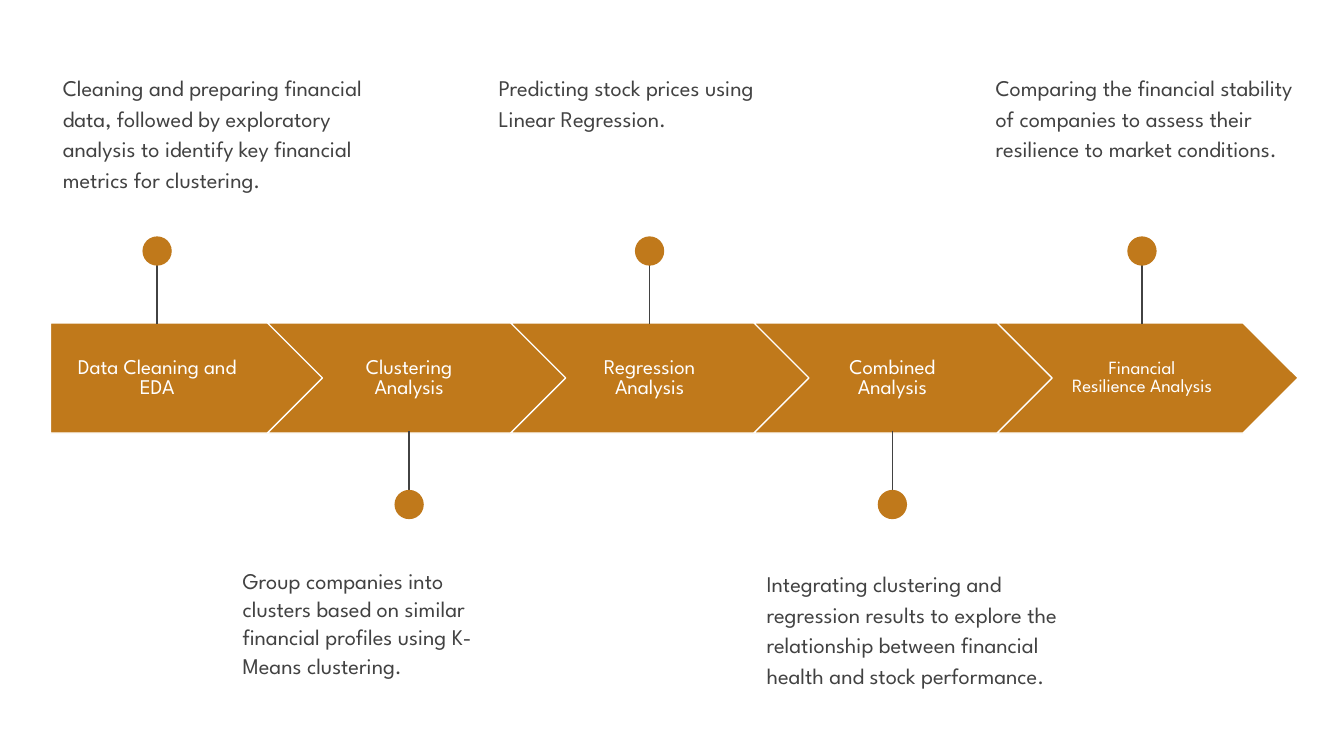
from pptx import Presentation
from pptx.dml.color import RGBColor
from pptx.enum.shapes import MSO_CONNECTOR, MSO_SHAPE
from pptx.enum.text import MSO_ANCHOR, PP_ALIGN
from pptx.oxml.ns import qn
from pptx.util import Pt
from lxml import etree

PENTAGON, CHEVRON, OVAL = MSO_SHAPE.PENTAGON, MSO_SHAPE.CHEVRON, MSO_SHAPE.OVAL
STRAIGHT = MSO_CONNECTOR.STRAIGHT
TOP, MIDDLE = MSO_ANCHOR.TOP, MSO_ANCHOR.MIDDLE
LEFT, CENTER = PP_ALIGN.LEFT, PP_ALIGN.CENTER

FONT = "League Spartan"
OCHRE, GRAY, WHITE = "C0791B", "424242", "FFFFFF"

STEPS = [
    dict(label="Data Cleaning and EDA", label_size=11.2, label_width=114.5, center=84.2,
         detail="Cleaning and preparing financial data, followed by exploratory analysis "
                "to identify key financial metrics for clustering.",
         detail_box=(26.6, 192.2, 96.5), spacing=1.15),
    dict(label="Clustering\nAnalysis", label_size=11.2, label_width=103.7, center=219.2,
         detail="Group companies into clusters based on similar financial profiles "
                "using K-Means clustering.",
         detail_box=(122.9, 161.3, 92.2), spacing=1.05),
    dict(label="Regression\nAnalysis", label_size=11.2, label_width=103.7, center=348,
         detail="Predicting stock prices using Linear Regression.",
         detail_box=(260, 176.4, 71.3), spacing=1.15),
    dict(label="Combined\nAnalysis", label_size=11.2, label_width=103.7, center=478.1,
         detail="Integrating clustering and regression results to explore the "
                "relationship between financial health and stock performance.",
         detail_box=(403.6, 176.4, 71.3), spacing=1.15),
    dict(label="Financial\nResilience Analysis", label_size=10, label_width=103.7, center=611.8,
         detail="Comparing the financial stability of companies to assess their "
                "resilience to market conditions.",
         detail_box=(526.3, 176.4, 71.3), spacing=1.15),
]

BAND_TOP, BAND_HEIGHT = 173, 59
FIRST_LEFT, FIRST_WIDTH = 27, 147.6
CHEVRON_LEFT, CHEVRON_WIDTH, CHEVRON_PITCH = 143.3, 161.3, 130.3
LABEL_TOP, LABEL_HEIGHT = 184.3, 36.7
DOT = 15.7
ABOVE = dict(dot_center=134.5, stem_end=173.5, detail_top=30.2)
BELOW = dict(dot_center=270.3, stem_end=231.1, detail_top=295.9)


def color(value):
    return RGBColor.from_string(value)


def add_shape(slide, kind, left, top, width, height, outline=None):
    shape = slide.shapes.add_shape(kind, Pt(left), Pt(top), Pt(width), Pt(height))
    shape.shadow.inherit = False
    shape.fill.solid()
    shape.fill.fore_color.rgb = color(OCHRE)
    if outline:
        shape.line.color.rgb = color(outline)
        shape.line.width = Pt(0.75)
    else:
        shape.line.fill.background()


def add_stem(slide, x, start, end):
    stem = slide.shapes.add_connector(STRAIGHT, Pt(x), Pt(start), Pt(x), Pt(end))
    stem.line.color.rgb = color(GRAY)
    stem.line.width = Pt(0.75)
    etree.SubElement(stem._element.spPr, qn("a:effectLst"))


def add_text(slide, text, left, top, width, height, size, ink, align, anchor, spacing, after):
    frame = slide.shapes.add_textbox(Pt(left), Pt(top), Pt(width), Pt(height)).text_frame
    frame.word_wrap = True
    frame.vertical_anchor = anchor
    frame.margin_left = frame.margin_right = frame.margin_top = frame.margin_bottom = Pt(7.2)
    frame.text = text
    for paragraph in frame.paragraphs:
        paragraph.alignment = align
        paragraph.line_spacing = spacing
        paragraph.space_after = Pt(after)
        for run in paragraph.runs:
            run.font.name = FONT
            run.font.size = Pt(size)
            run.font.color.rgb = color(ink)


def add_step(slide, index, step):
    side = BELOW if index % 2 else ABOVE
    center, label_width = step["center"], step["label_width"]
    if index == 0:
        kind, left, width = PENTAGON, FIRST_LEFT, FIRST_WIDTH
    else:
        kind, width = CHEVRON, CHEVRON_WIDTH
        left = CHEVRON_LEFT + (index - 1) * CHEVRON_PITCH
    add_shape(slide, kind, left, BAND_TOP, width, BAND_HEIGHT, WHITE)
    add_text(slide, step["label"], center - label_width / 2, LABEL_TOP, label_width,
             LABEL_HEIGHT, step["label_size"], WHITE, CENTER, MIDDLE, 0.8, 0)
    add_stem(slide, center, side["dot_center"], side["stem_end"])
    add_shape(slide, OVAL, center - DOT / 2, side["dot_center"] - DOT / 2, DOT, DOT)
    detail_left, detail_width, detail_height = step["detail_box"]
    add_text(slide, step["detail"], detail_left, side["detail_top"], detail_width,
             detail_height, 12, GRAY, LEFT, TOP, step["spacing"], 12)


def main():
    deck = Presentation()
    deck.slide_width, deck.slide_height = Pt(720), Pt(405)
    slide = deck.slides.add_slide(deck.slide_layouts[6])
    for index, step in enumerate(STEPS):
        add_step(slide, index, step)
    deck.save("out.pptx")


if __name__ == "__main__":
    main()
